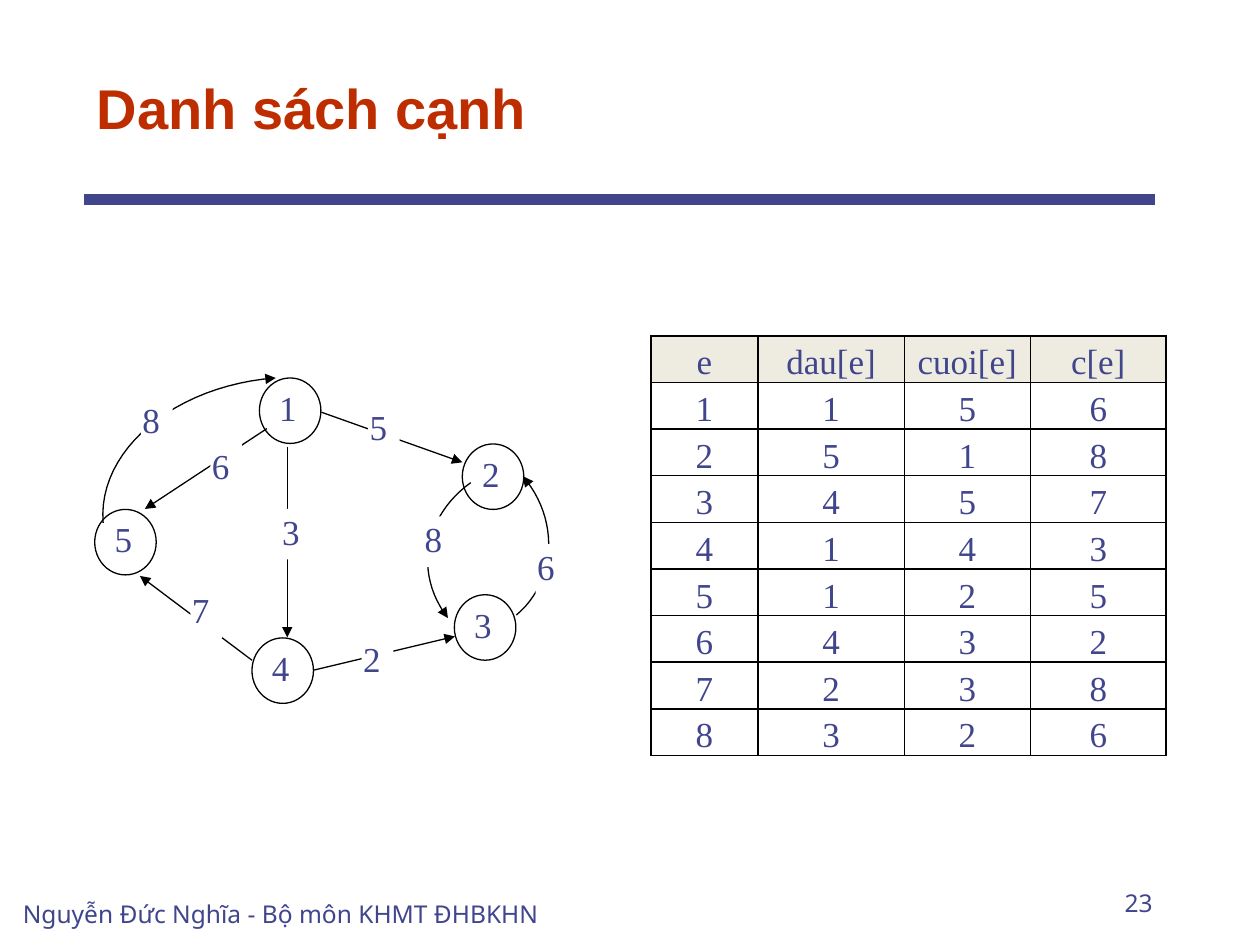
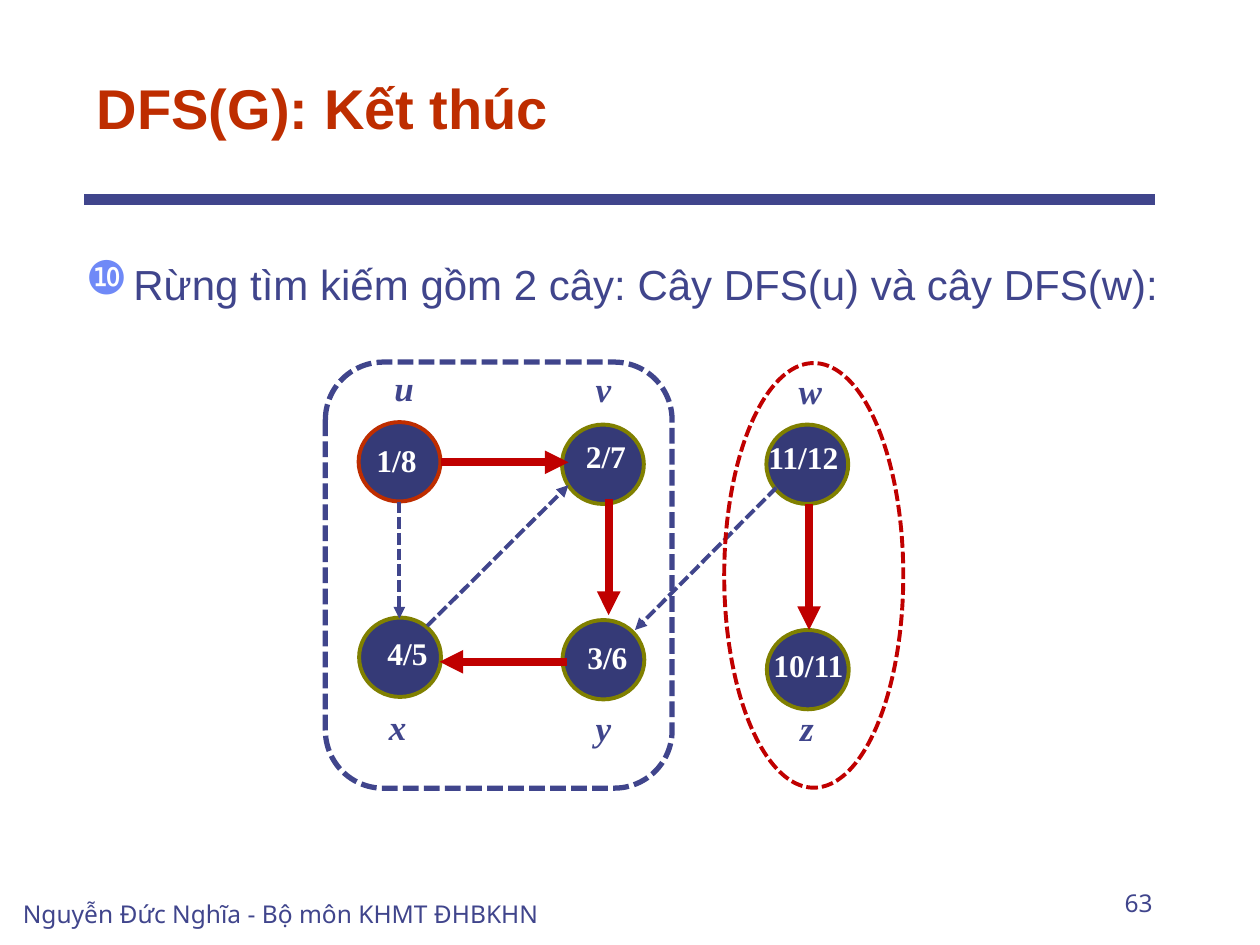
"""Build two slides on graphs: an edge list and the forest found by depth-first search."""
import pptx
import pptx.dml.color
import pptx.enum.dml
import pptx.enum.shapes
import pptx.enum.text
import pptx.oxml
import pptx.oxml.ns
import pptx.util
from pptx.util import Cm, Pt

COLORS = {
    "indigo": "40458C", "rust": "BE2D00", "navy": "353A77", "olive": "808000",
    "red": "C00000", "black": "000000", "white": "FFFFFF", "cream": "EEECE1", "bullet": "6F89F7",
}
SERIF = "Times New Roman"
FOOTER = "Nguyễn Đức Nghĩa - Bộ môn KHMT ĐHBKHN"

EDGE_HEADER = ("e", "dau[e]", "cuoi[e]", "c[e]")
EDGE_LIST = [(1, 5, 6), (5, 1, 8), (4, 5, 7), (1, 4, 3), (1, 2, 5), (4, 3, 2), (2, 3, 8), (3, 2, 6)]
COLUMN_WIDTHS = (2.16, 2.95, 2.54, 2.74)
ROW_HEIGHT = 0.94
GRAPH_NODES = {"1": (5.23, 7.62), "2": (9.32, 8.95), "5": (1.91, 10.27),
               "4": (5.08, 12.86), "3": (9.16, 11.99)}
STRAIGHT_EDGES = [
    ((5.38, 8.64), (2.92, 10.26)),
    ((5.79, 9.02), (5.79, 12.85)),
    ((6.48, 8.31), (9.32, 9.32)),
    ((5.08, 13.31), (2.82, 11.61)),
    ((6.32, 13.51), (9.17, 12.83)),
]
CURVED_EDGES = [
    ((2.08, 10.54), (1.96, 9.07), (3.53, 7.77), (5.56, 7.62)),
    ((10.41, 12.4), (11.23, 11.71), (11.28, 10.46), (10.54, 9.6)),
    ((9.49, 9.73), (8.56, 10.4), (8.33, 11.55), (9.03, 12.46)),
]
WEIGHTS = [("5", 7.42, 8.15), ("8", 2.84, 8), ("6", 4.24, 8.94), ("8", 8.53, 10.41),
           ("6", 10.8, 10.97), ("7", 3.84, 11.84), ("2", 7.29, 12.83), ("3", 5.66, 10.26)]

FOREST_TEXT = "Rừng tìm kiếm gồm 2 cây: Cây DFS(u) và cây DFS(w):"
FOREST_NODES = [
    ((7.23, 8.51), "rust", "u", (7.7, 7.26), "1/8", (7.34, 8.76)),
    ((11.33, 8.56), "olive", "v", (11.76, 7.29), "2/7", (11.56, 8.69)),
    ((15.45, 8.56), "olive", "w", (15.85, 7.32), "11/12", (15.24, 8.71)),
    ((7.24, 12.45), "olive", "x", (7.59, 14.1), "4/5", (7.56, 12.65)),
    ((11.34, 12.5), "olive", "y", (11.76, 14.12), "3/6", (11.59, 12.73)),
    ((15.46, 12.7), "olive", "z", (15.88, 14.12), "10/11", (15.34, 12.9)),
]
TREE_EDGES = [
    ((16.31, 10.16), (16.31, 12.7)),
    ((11.43, 13.34), (8.86, 13.34)),
    ((12.27, 10.06), (12.27, 12.4)),
    ((8.89, 9.32), (11.46, 9.32)),
]
OTHER_EDGES = [
    ((15.65, 9.83), (12.8, 12.7)),
    ((8.05, 10.11), (8.05, 12.47)),
    ((8.61, 12.62), (11.46, 9.78)),
]

ALIGN = pptx.enum.text.PP_ALIGN
ANCHOR = pptx.enum.text.MSO_ANCHOR
SHAPE = pptx.enum.shapes.MSO_SHAPE
DASHED = pptx.enum.dml.MSO_LINE.SQUARE_DOT


def rgb(name):
    """Return the named colour."""
    return pptx.dml.color.RGBColor.from_string(COLORS[name])


def add_xml(parent, text):
    """Append an element of the drawing namespace."""
    parent.append(pptx.oxml.parse_xml(f"<a:root {pptx.oxml.ns.nsdecls('a')}>{text}</a:root>")[0])


def style_font(paragraph, size, font_name, color, bold=False, italic=False):
    """Format all runs of a paragraph."""
    font = paragraph.font
    font.size, font.name, font.bold, font.italic = Pt(size), font_name, bold, italic
    font.color.rgb = rgb(color)


def style_line(shape, color, width, dash=None, arrow=False):
    """Format an outline or a line, with an arrowhead at its end if wanted."""
    shape.line.color.rgb = rgb(color)
    shape.line.width = Pt(width)
    if dash:
        shape.line.dash_style = dash
    if arrow:
        add_xml(shape.element.spPr.find(pptx.oxml.ns.qn("a:ln")), '<a:tailEnd type="triangle"/>')


def set_text(frame, text, size, font_name, color, align=ALIGN.LEFT, anchor=ANCHOR.TOP,
             inset=None, **emphasis):
    """Fill a text frame with one formatted paragraph."""
    frame.word_wrap, frame.vertical_anchor = True, anchor
    if inset is not None:
        frame.margin_left = frame.margin_right = Cm(inset)
        frame.margin_top = frame.margin_bottom = Cm(inset)
    paragraph = frame.paragraphs[0]
    paragraph.text, paragraph.alignment = text, align
    style_font(paragraph, size, font_name, color, **emphasis)
    return paragraph


def add_text(slide, box, *args, **options):
    """Add a text box at left, top, width, height."""
    return set_text(slide.shapes.add_textbox(*map(Cm, box)).text_frame, *args, **options)


def add_shape(slide, kind, box, fill=None):
    """Add a preset shape without a shadow."""
    shape = slide.shapes.add_shape(kind, *map(Cm, box))
    shape.shadow.inherit = False
    if fill:
        shape.fill.solid()
        shape.fill.fore_color.rgb = rgb(fill)
    else:
        shape.fill.background()
    return shape


def add_digit(slide, digit, box):
    """Add a white plate with one digit."""
    plate = add_shape(slide, SHAPE.RECTANGLE, box, "white")
    plate.line.fill.background()
    set_text(plate.text_frame, digit, 20, SERIF, "indigo", inset=0.03)


def add_line(slide, start, end, *args, **options):
    """Add a straight line without a shadow."""
    connector = slide.shapes.add_connector(
        pptx.enum.shapes.MSO_CONNECTOR.STRAIGHT, *map(Cm, (*start, *end)))
    style_line(connector, *args, **options)
    add_xml(connector.element.spPr, "<a:effectLst/>")
    return connector


def add_curve(slide, controls, steps=24):
    """Draw a cubic curve through evenly sampled points."""
    points = []
    for step in range(steps + 1):
        t = step / steps
        factors = ((1 - t) ** 3, 3 * t * (1 - t) ** 2, 3 * t * t * (1 - t), t ** 3)
        points.append(tuple(Cm(sum(f * c[axis] for f, c in zip(factors, controls)))
                            for axis in (0, 1)))
    builder = slide.shapes.build_freeform(*points[0])
    builder.add_line_segments(points[1:], close=False)
    curve = builder.convert_to_shape()
    curve.shadow.inherit = False
    curve.fill.background()
    style_line(curve, "black", 0.75, arrow=True)


def add_titled_slide(presentation, title, number):
    """Add a slide with its title, footer and number."""
    slide = presentation.slides.add_slide(presentation.slide_layouts[5])
    heading = slide.shapes.title
    heading.left, heading.top, heading.width, heading.height = map(Cm, (1.7, 0.85, 21.6, 2.12))
    set_text(heading.text_frame, title, 32, "Arial", "rust", anchor=ANCHOR.BOTTOM, bold=True)
    add_text(slide, (0.21, 17.57, 11.85, 1.27), FOOTER, 14, "Noto Sans", "indigo",
             anchor=ANCHOR.BOTTOM)
    add_text(slide, (18.2, 17.35, 5.29, 1.27), str(number), 14, "Noto Sans", "indigo",
             align=ALIGN.RIGHT, anchor=ANCHOR.BOTTOM)
    return slide


def add_edge_table(slide):
    """Add the table of numbered edges."""
    rows = [EDGE_HEADER] + [(number, *edge) for number, edge in enumerate(EDGE_LIST, 1)]
    table = slide.shapes.add_table(len(rows), len(EDGE_HEADER), Cm(13.12), Cm(6.77),
                                   Cm(sum(COLUMN_WIDTHS)), Cm(ROW_HEIGHT * len(rows))).table
    table.first_row = table.horz_banding = False
    for column, width in zip(table.columns, COLUMN_WIDTHS):
        column.width = Cm(width)
    for row_index, values in enumerate(rows):
        table.rows[row_index].height = Cm(ROW_HEIGHT)
        for column_index, value in enumerate(values):
            cell = table.cell(row_index, column_index)
            cell.margin_left = cell.margin_right = Cm(0.18)
            cell.margin_top = cell.margin_bottom = 0
            cell.vertical_anchor = ANCHOR.BOTTOM
            paragraph = cell.text_frame.paragraphs[0]
            paragraph.text, paragraph.alignment = str(value), ALIGN.CENTER
            style_font(paragraph, 20, SERIF, "indigo")
            properties = cell._tc.get_or_add_tcPr()
            for side in "LRTB":
                add_xml(properties, f'<a:ln{side} w="12700"><a:solidFill><a:srgbClr '
                                    f'val="{COLORS["black"]}"/></a:solidFill></a:ln{side}>')
            if row_index == 0:
                cell.fill.solid()
                cell.fill.fore_color.rgb = rgb("cream")
            else:
                cell.fill.background()


def build_edge_list(presentation):
    """Build the weighted graph and its edge table."""
    slide = add_titled_slide(presentation, "Danh sách cạnh", 23)
    add_edge_table(slide)
    for name, (left, top) in GRAPH_NODES.items():
        node = add_shape(slide, SHAPE.OVAL, (left, top, 1.24, 1.32), "white")
        style_line(node, "black", 0.75)
        add_digit(slide, name, (left + 0.37, top + 0.14, 0.53, 0.86))
    for start, end in STRAIGHT_EDGES:
        add_line(slide, start, end, "black", 0.75, arrow=True)
    for controls in CURVED_EDGES:
        add_curve(slide, controls)
    for weight, left, top in WEIGHTS:
        add_digit(slide, weight, (left, top, 0.64, 1.02))


def build_forest(presentation):
    """Build the two search trees with their frames."""
    slide = add_titled_slide(presentation, "DFS(G): Kết thúc", 63)
    frame = add_shape(slide, SHAPE.ROUNDED_RECTANGLE, (6.56, 7.3, 6.99, 8.59))
    style_line(frame, "indigo", 3, DASHED)
    paragraph = add_text(slide, (1.48, 5.08, 22.23, 1.3), FOREST_TEXT, 24, "Arial", "indigo")
    paragraph.space_before = Pt(5)
    properties = paragraph._p.get_or_add_pPr()
    properties.set("marL", str(Cm(0.96)))
    properties.set("indent", str(-Cm(0.96)))
    add_xml(properties, f'<a:buClr><a:srgbClr val="{COLORS["bullet"]}"/></a:buClr>')
    add_xml(properties, '<a:buSzPct val="110000"/>')
    add_xml(properties, '<a:buChar char="❿"/>')
    properties.append(properties.find(pptx.oxml.ns.qn("a:defRPr")))
    for corner, outline, name, name_corner, times, times_corner in FOREST_NODES:
        node = add_shape(slide, SHAPE.OVAL, (*corner, 1.65, 1.6), "navy")
        style_line(node, outline, 2.25)
        add_text(slide, (*name_corner, 1.1, 1.12), name, 20, SERIF, "indigo",
                 bold=True, italic=True)
        add_text(slide, (*times_corner, 2.1, 1.02), times, 18, SERIF, "white", bold=True)
    for start, end in OTHER_EDGES:
        add_line(slide, start, end, "indigo", 2.25, DASHED, arrow=True)
    for start, end in TREE_EDGES:
        add_line(slide, start, end, "red", 4.5, arrow=True)
    frame = add_shape(slide, SHAPE.OVAL, (14.6, 7.32, 3.61, 8.56))
    style_line(frame, "red", 2.25, DASHED)


def main():
    """Build and save the presentation."""
    presentation = pptx.Presentation()
    presentation.slide_width, presentation.slide_height = Cm(25.4), Cm(19.05)
    build_edge_list(presentation)
    build_forest(presentation)
    rule = add_line(presentation.slides[0], (1.7, 4.02), (23.29, 4.02), "indigo", 6)
    presentation.slide_layouts[5].shapes.element.append(rule.element)
    presentation.save("out.pptx")


main()
